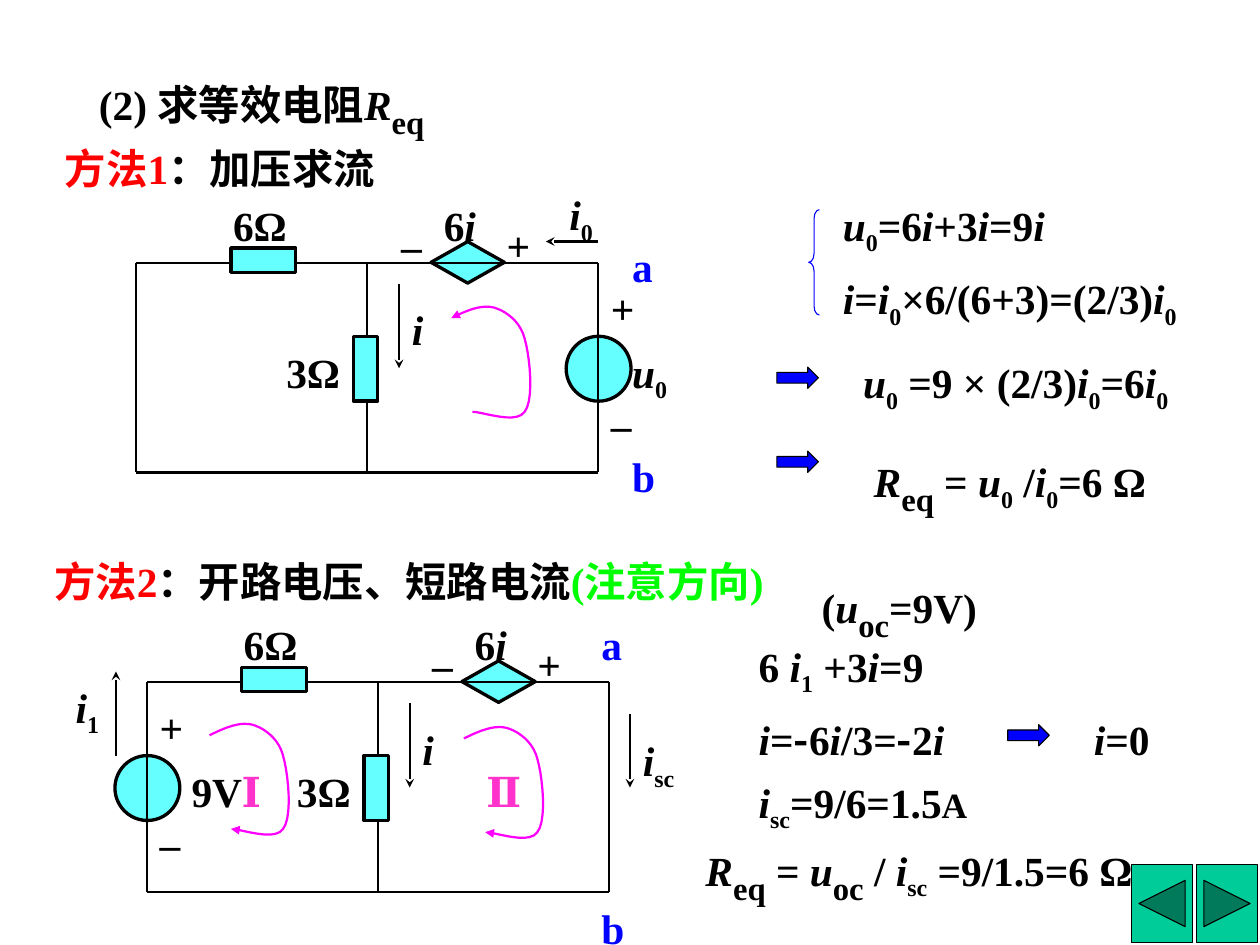
from pptx import Presentation
from pptx.dml.color import RGBColor
from pptx.enum.shapes import MSO_CONNECTOR as Connector, MSO_SHAPE as Shape
from pptx.enum.text import MSO_ANCHOR as Anchor, MSO_AUTO_SIZE as AutoSize, PP_ALIGN as Align
from pptx.oxml.ns import qn
from pptx.util import Inches, Pt
from lxml import etree

BLACK = RGBColor(0, 0, 0)
RED = RGBColor(255, 0, 0)
GREEN = RGBColor(0, 255, 0)
BLUE = RGBColor(0, 0, 255)
CYAN = RGBColor(0x66, 255, 255)
MAGENTA = RGBColor(255, 0, 255)
PINK = RGBColor(255, 0x33, 0xCC)
TEAL = RGBColor(0, 0xCC, 0x99)
SERIF, SANS = "Times New Roman", "Noto Sans CJK SC"
WIDTH, HEIGHT = 11.84, 8.88

STYLES = {
    "plain": (28, SERIF, SANS),
    "var": (28, SERIF, SANS),
    "sub": (28, SERIF, SANS),
    "bigsub": (38, SERIF, SANS),
    "minus": (28, SANS, SANS),
    "small": (24, SERIF, SANS),
    "roman": (28, SERIF, SERIF),
}
I = ("i", "var")
I0 = [I, ("0", "sub")]
I1 = [I, ("1", "sub")]
ISC = [I, ("sc", "sub")]
U0 = [("u", "var"), ("0", "sub")]
UOC = [("u", "var"), ("oc", "bigsub")]
REQ = [("R", "var"), ("eq", "bigsub")]

TITLE = [("(2) 求等效电阻", "plain"), *REQ]
METHODS = [
    (0.49, 1.24, 3.75, [("方法1", "plain", RED), ("：加压求流", "plain")]),
    (0.39, 5.13, 7.1, [("方法2", "plain", RED), ("：开路电压、短路电流", "plain"),
                       ("(注意方向)", "plain", GREEN)]),
]
EQUATIONS = [
    (7.8, 1.78, [*U0, ("=6", "plain"), I, ("+3", "plain"), I, ("=9", "plain"), I]),
    (7.8, 2.47, [I, ("=", "plain"), *I0, ("×6/(6+3)=(2/3)", "plain"), *I0]),
    (7.99, 3.26, [*U0, (" =9 × (2/3)", "plain"), *I0, ("=6", "plain"), *I0]),
    (8.09, 4.05, [*REQ, (" = ", "plain"), *U0, (" /", "plain"), *I0, ("=6 Ω", "plain")]),
    (7.6, 5.23, [("(", "plain"), *UOC, ("=9V)", "plain")]),
    (7.01, 5.92, [("6 ", "plain"), *I1, (" +3", "plain"), I, ("=9", "plain")]),
    (7.01, 6.61, [I, ("=", "plain"), ("-", "minus"), ("6", "plain"), I,
                  ("/3=", "plain"), ("-", "minus"), ("2", "plain"), I]),
    (10.16, 6.61, [I, ("=0", "plain")]),
    (7.01, 7.2, [*ISC, ("=9/6=1.5", "plain"), ("A", "small")]),
    (6.51, 7.7, [*REQ, (" = ", "plain"), *UOC, (" / ", "plain"), *ISC,
                 (" =9/1.5=6 Ω", "plain")]),
]
IMPLIES = [(7.3, 3.45), (7.3, 4.24), (9.47, 6.81)]
CIRCUITS = [
    dict(x=1.28, y=2.47, diamond=2.77, source=4.34, value=(0.2, U0),
         a=(4.54, -0.3), b=(4.54, 1.67)),
    dict(x=1.38, y=6.41, diamond=2.96, source=0, value=(0.3, [("9V", "plain")]),
         a=(4.15, -0.69), b=(4.15, 1.98)),
]
CURRENTS = [
    (5.62, 2.27, 5.13, 2.27, 5.23, 1.68, I0),
    (5.92, 6.71, 5.92, 7.4, 5.92, 6.81, ISC),
    (1.09, 7.1, 1.09, 6.31, 0.59, 6.31, I1),
]
LOOPS = [(1.97, 6.91, "tailEnd"), (4.36, 6.94, "tailEnd"), (4.24, 2.99, "headEnd")]
LOOP_LABELS = [(2.15, 7.1, "Ⅰ"), (4.45, 7.1, "Ⅱ")]
LOOP_CURVES = [
    ((0, 0), (0.14, -0.07), (0.28, -0.13), (0.4, -0.1)),
    ((0.4, -0.1), (0.51, -0.07), (0.65, 0.03), (0.69, 0.19)),
    ((0.69, 0.19), (0.74, 0.36), (0.78, 0.77), (0.69, 0.88)),
    ((0.69, 0.88), (0.61, 1), (0.3, 0.88), (0.2, 0.88)),
]

deck = Presentation()
deck.slide_width, deck.slide_height = Inches(WIDTH), Inches(HEIGHT)
page = deck.slides.add_slide(deck.slide_layouts[5])


def place(box, x, y, w, h):
    box.left, box.top, box.width, box.height = (Inches(v) for v in (x, y, w, h))


def write(box, spans, color=BLACK):
    frame = box.text_frame
    frame.word_wrap = True
    frame.auto_size = AutoSize.NONE
    frame.vertical_anchor = Anchor.TOP
    frame.margin_left = frame.margin_right = Inches(0.12)
    frame.margin_top, frame.margin_bottom = Inches(0.1), Inches(0.06)
    para = frame.paragraphs[0]
    para.alignment = Align.LEFT
    for text, style, *own in spans:
        size, latin, asian = STYLES[style]
        span = para.add_run()
        span.text = text
        font = span.font
        font.size, font.name, font.bold = Pt(size), latin, True
        font.italic = style == "var"
        font.color.rgb = own[0] if own else color
        props = font._element
        etree.SubElement(props, qn("a:ea")).set("typeface", asian)
        if style.endswith("sub"):
            props.set("baseline", "-25000")


def label(x, y, spans, color=BLACK, w=0.95):
    write(page.shapes.add_textbox(Inches(x), Inches(y), Inches(w), Inches(0.59)), spans, color)


def add(kind, x, y, w, h, fill, line=BLACK, weight=0.75):
    shape = page.shapes.add_shape(kind, Inches(x), Inches(y), Inches(w), Inches(h))
    shape.shadow.inherit = False
    if fill is None:
        shape.fill.background()
    else:
        shape.fill.solid()
        shape.fill.fore_color.rgb = fill
    shape.line.color.rgb, shape.line.width = line, Pt(weight)
    return shape


def arrowhead(shape, end, kind):
    etree.SubElement(shape.line._get_or_add_ln(), qn("a:" + end)).set("type", kind)


def wire(x1, y1, x2, y2, arrow=False):
    line = page.shapes.add_connector(
        Connector.STRAIGHT, Inches(x1), Inches(y1), Inches(x2), Inches(y2))
    line.line.color.rgb, line.line.width = BLACK, Pt(1.5)
    if arrow:
        arrowhead(line, "tailEnd", "stealth")
    etree.SubElement(line._element.spPr, qn("a:effectLst"))


def circuit(x, y, diamond, source, value, a, b):
    right, bottom, middle = x + 4.34, y + 1.97, x + 2.17
    add(Shape.OVAL, x + source - 0.3, y + 0.69, 0.61, 0.61, CYAN, weight=2.25)
    add(Shape.DIAMOND, x + diamond, y - 0.2, 0.69, 0.39, CYAN, weight=2.25)
    for level in (y, bottom):
        wire(x, level, right, level)
    for column in (x, middle, right):
        wire(column, y, column, bottom)
    add(Shape.RECTANGLE, x + 0.89, y - 0.14, 0.61, 0.23, CYAN, weight=2.25)
    add(Shape.RECTANGLE, x + 2.04, y + 0.69, 0.23, 0.61, CYAN, weight=2.25)
    wire(x + 2.47, y + 0.2, x + 2.47, y + 0.99, arrow=True)
    plus, minus = [("+", "plain")], [("–", "plain")]
    for dx, dy, spans in [
        (0.79, -0.69, [("6Ω", "plain")]), (1.29, 0.69, [("3Ω", "plain")]), (2.47, 0.29, [I]),
        (diamond, -0.69, [("6", "plain"), I]),
        (diamond - 0.4, -0.5, minus), (diamond + 0.59, -0.5, plus),
        (source, 0.09, plus), (source, 1.18, minus), (source + value[0], 0.69, value[1]),
    ]:
        label(x + dx, y + dy, spans)
    for name, (dx, dy) in (("a", a), ("b", b)):
        label(x + dx, y + dy, [(name, "plain")], BLUE)


def bezier(curve, t):
    weights = ((1 - t) ** 3, 3 * t * (1 - t) ** 2, 3 * t * t * (1 - t), t ** 3)
    return tuple(sum(w * point[axis] for w, point in zip(weights, curve)) for axis in (0, 1))


def loop(x, y, end):
    steps = 10
    points = [bezier(curve, n / steps) for curve in LOOP_CURVES for n in range(1, steps + 1)]
    pen = page.shapes.build_freeform(Inches(x), Inches(y))
    pen.add_line_segments([(Inches(x + dx), Inches(y + dy)) for dx, dy in points], close=False)
    shape = pen.convert_to_shape()
    shape.shadow.inherit = False
    shape.fill.background()
    shape.line.color.rgb, shape.line.width = MAGENTA, Pt(1.5)
    arrowhead(shape, end, "triangle")


add(Shape.ACTION_BUTTON_BACK_OR_PREVIOUS, 10.63, 8.12, 0.58, 0.74, TEAL)
add(Shape.ACTION_BUTTON_FORWARD_OR_NEXT, 11.24, 8.12, 0.58, 0.74, TEAL)
place(page.shapes.title, 0.81, 0.5, 4.24, 0.59)
write(page.shapes.title, TITLE)
for x, y, w, spans in METHODS:
    label(x, y, spans, w=w)
for x, y, spans in EQUATIONS:
    label(x, y, spans, w=min(4.6, WIDTH - x))
brace = add(Shape.LEFT_BRACE, 7.6, 1.97, 0.1, 0.99, None, BLUE)
brace.adjustments[0] = 0.83
for x, y in IMPLIES:
    add(Shape.RIGHT_ARROW, x, y, 0.39, 0.2, BLUE)
for parts in CIRCUITS:
    circuit(**parts)
for x1, y1, x2, y2, x, y, spans in CURRENTS:
    wire(x1, y1, x2, y2, arrow=True)
    label(x, y, spans)
for x, y, end in LOOPS:
    loop(x, y, end)
for x, y, numeral in LOOP_LABELS:
    label(x, y, [(numeral, "roman")], PINK)

deck.save("out.pptx")
